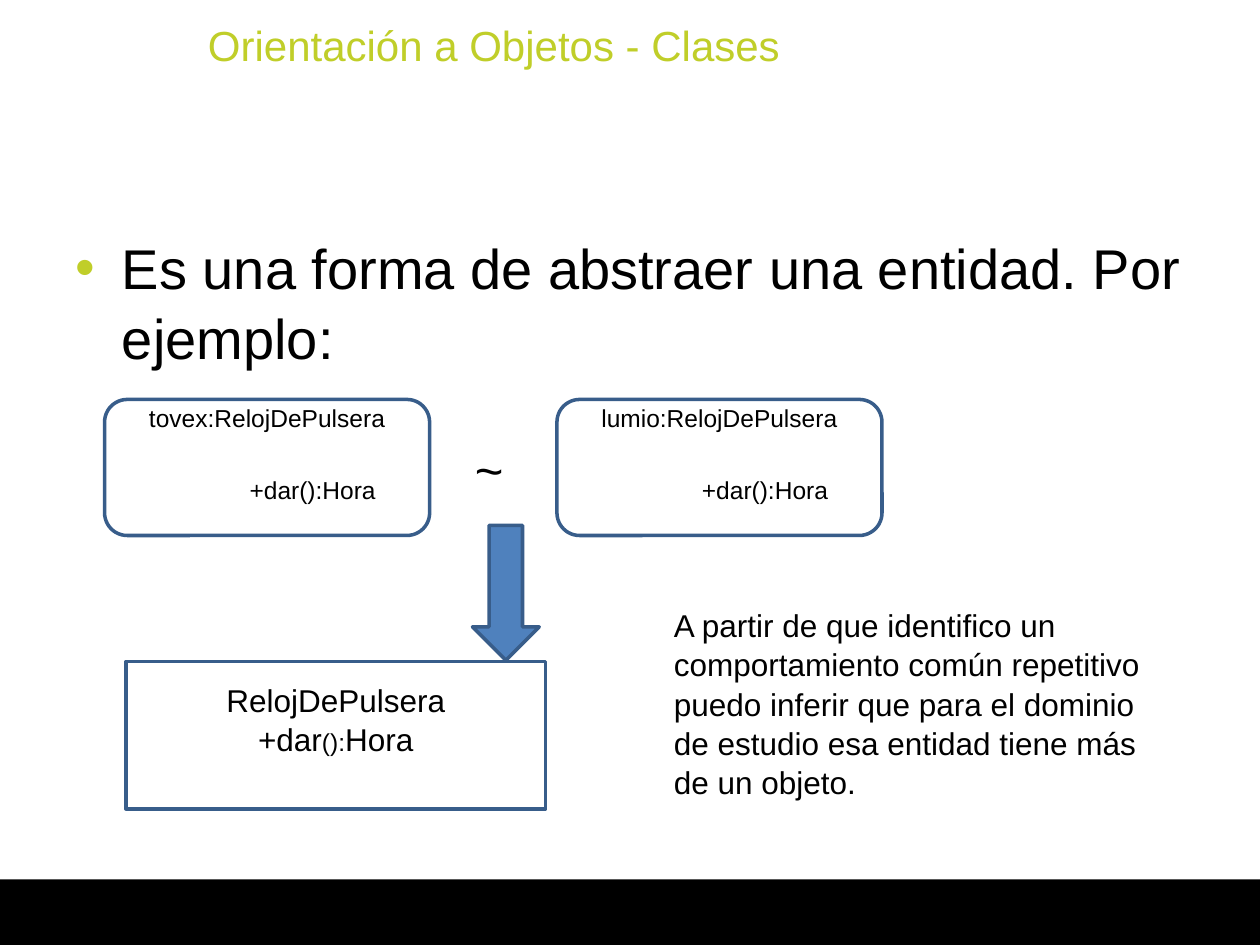
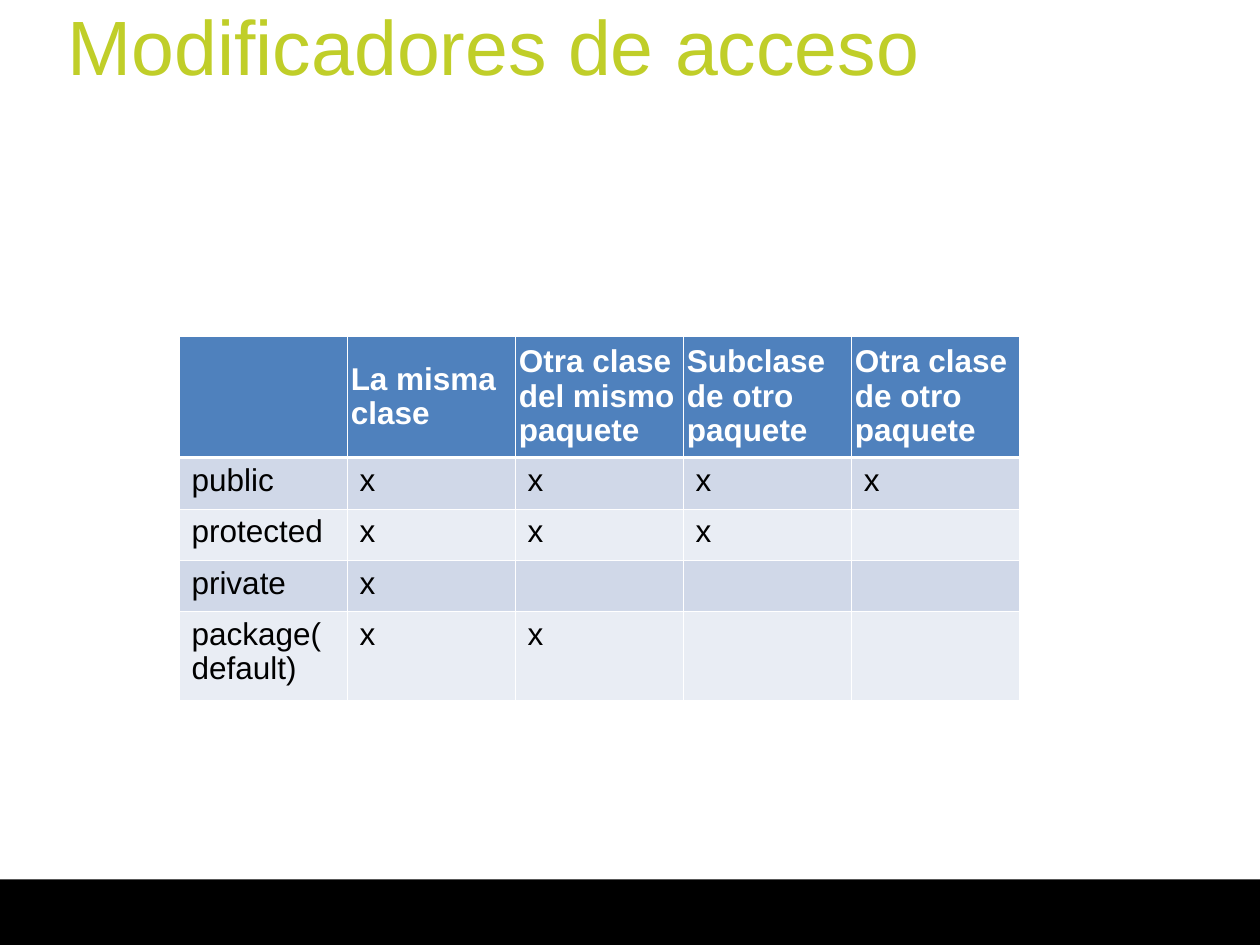
from dataclasses import dataclass

from pptx import Presentation
from pptx.dml.color import RGBColor
from pptx.enum.shapes import MSO_SHAPE as Shape
from pptx.enum.text import MSO_ANCHOR as Anchor, MSO_AUTO_SIZE as AutoSize, PP_ALIGN as Align
from pptx.oxml.ns import qn
from pptx.util import Inches, Pt
from lxml.etree import SubElement


@dataclass(frozen=True)
class Theme:
    font: str = "Arial"
    accent: str = "C0CE29"
    ink: str = "000000"
    paper: str = "FFFFFF"
    blue: str = "4F81BD"
    outline: str = "385D8A"
    bands: tuple = ("D0D8E8", "E9EDF4")
    small: int = 14
    normal: int = 18
    heading: int = 24
    symbol: int = 28
    lead: int = 32
    display: int = 44
    spacing: float = 1.04
    table_spacing: float = 0.97


THEME = Theme()
WIDTH, HEIGHT = 10, 7.5
UNIT = 1 / 12  # the slide is a grid of 120 columns by 90 rows


@dataclass(frozen=True)
class Box:
    """A region measured in grid columns and rows."""
    left: float
    top: float
    width: float
    height: float

    def inner(self, left, top, width, height):
        return Box(self.left + left, self.top + top, width, height)

    def lengths(self):
        return [Inches(round(value * UNIT, 2))
                for value in (self.left, self.top, self.width, self.height)]


def color(value):
    return RGBColor.from_string(value)


def write_text(frame, *paragraphs, size=THEME.normal, ink=THEME.ink, bold=False,
               align=Align.LEFT, anchor=Anchor.TOP, insets=(0.1, 0.05, 0.1, 0.05),
               spacing=THEME.spacing, bullet=None):
    """Fill a frame; a paragraph is a string or a list of (text, size) runs."""
    frame.word_wrap = True
    frame.auto_size = AutoSize.NONE
    frame.vertical_anchor = anchor
    (frame.margin_left, frame.margin_top,
     frame.margin_right, frame.margin_bottom) = map(Inches, insets)
    for index, content in enumerate(paragraphs):
        paragraph = frame.add_paragraph() if index else frame.paragraphs[0]
        paragraph.alignment = align
        paragraph.line_spacing = spacing
        if bullet:
            add_bullet(paragraph, bullet)
        for text, run_size in [(content, size)] if isinstance(content, str) else content:
            run = paragraph.add_run()
            run.text = text
            run.font.name = THEME.font
            run.font.size = Pt(run_size)
            run.font.bold = bold
            run.font.color.rgb = color(ink)
    return frame


def add_bullet(paragraph, character, indent=0.37):
    properties = paragraph._p.get_or_add_pPr()
    properties.set("marL", str(Inches(indent)))
    properties.set("indent", str(-Inches(indent)))
    bullet_color = SubElement(properties, qn("a:buClr"))
    SubElement(bullet_color, qn("a:srgbClr"), val=THEME.accent)
    SubElement(properties, qn("a:buFont"), typeface=THEME.font)
    SubElement(properties, qn("a:buChar"), char=character)


def add_text(slide, box, *paragraphs, **text_format):
    shape = slide.shapes.add_textbox(*box.lengths())
    write_text(shape.text_frame, *paragraphs, **text_format)


def add_shape(slide, kind, box, fill=THEME.paper, line=THEME.outline):
    shape = slide.shapes.add_shape(kind, *box.lengths())
    shape.shadow.inherit = False
    shape.fill.solid()
    shape.fill.fore_color.rgb = color(fill)
    if line:
        shape.line.color.rgb = color(line)
        shape.line.width = Pt(2)
    else:
        shape.line.fill.background()
    return shape


# Shared frame: bottom band and title
def add_slide(presentation, title, title_size):
    slide = presentation.slides.add_slide(presentation.slide_layouts[5])
    add_shape(slide, Shape.RECTANGLE, Box(0, 83.75, 120, 6.25), fill=THEME.ink, line=None)
    placeholder = slide.shapes.title
    (placeholder.left, placeholder.top,
     placeholder.width, placeholder.height) = Box(-4, -1.4, 102, 11.4).lengths()
    write_text(placeholder.text_frame, title, size=title_size, ink=THEME.accent,
               align=Align.CENTER, anchor=Anchor.MIDDLE, spacing=1.0)
    return slide


# Class diagram
def add_object(slide, box, name, method):
    shape = add_shape(slide, Shape.ROUNDED_RECTANGLE, box)
    frame = write_text(shape.text_frame, name, method, size=THEME.small,
                       align=Align.CENTER, anchor=Anchor.MIDDLE, insets=(0.1, 0, 0.1, 0.23))
    method_line = frame.paragraphs[1]
    method_line.alignment = Align.LEFT
    method_line.space_before = Pt(24)
    method_line._p.get_or_add_pPr().set("marL", str(Inches(1)))


def add_class(slide, box, name, method_runs):
    shape = add_shape(slide, Shape.RECTANGLE, box)
    write_text(shape.text_frame, name, method_runs, align=Align.CENTER,
               insets=(0.1, 0.14, 0.1, 0.05))


def add_diagram(slide, box):
    for index, name in enumerate(("tovex", "lumio")):
        add_object(slide, box.inner(43 * index, 0, 31, 13),
                   f"{name}:RelojDePulsera", "+dar():Hora")
    add_class(slide, box.inner(2, 25, 40, 14), "RelojDePulsera",
              [("+dar", THEME.normal), ("():", THEME.small), ("Hora", THEME.normal)])
    add_text(slide, box.inner(34, 3, 7, 6.8), "~", size=THEME.symbol)
    add_shape(slide, Shape.DOWN_ARROW, box.inner(35, 12, 6.4, 12.8), fill=THEME.blue)
    add_text(slide, box.inner(53, 19, 48, 19.2),
             "A partir de que identifico un comportamiento común repetitivo puedo "
             "inferir que para el dominio de estudio esa entidad tiene más de un objeto.")


def build_classes_slide(presentation):
    slide = add_slide(presentation, "Orientación a Objetos - Clases", THEME.heading)
    add_text(slide, Box(6, 21, 108, 16), "Es una forma de abstraer una entidad. Por ejemplo:",
             size=THEME.lead, bullet="•", insets=(0.1, 0.08, 0.1, 0.05))
    add_diagram(slide, Box(10, 38, 101, 39))


# Access table
HEADERS = ("", "La misma clase", "Otra clase del mismo paquete",
           "Subclase de otro paquete", "Otra clase de otro paquete")
ACCESS = {"public": 4, "protected": 3, "private": 1, "package(default)": 2}
ROW_HEIGHTS = (0.96, 0.41, 0.41, 0.4, 0.7)


def add_borders(cell, **widths):
    properties = cell._tc.get_or_add_tcPr()
    for side in "LRTB":
        line = SubElement(properties, qn(f"a:ln{side}"), w=str(Pt(widths.get(side, 0.45))))
        fill = SubElement(line, qn("a:solidFill"))
        SubElement(fill, qn("a:srgbClr"), val=THEME.paper)


def format_cell(cell, row, text):
    header = row == 0
    add_borders(cell, **{0: {"B": 1.47}, 1: {"T": 1.47}}.get(row, {}))
    cell.fill.solid()
    cell.fill.fore_color.rgb = color(THEME.blue if header else THEME.bands[(row - 1) % 2])
    cell.vertical_anchor = Anchor.MIDDLE if header else Anchor.TOP
    cell.margin_left = cell.margin_right = Inches(0.03 if header else 0.1)
    if text:
        paragraph = cell.text_frame.paragraphs[0]
        paragraph.line_spacing = THEME.table_spacing
        run = paragraph.add_run()
        run.text = text
        run.font.name = THEME.font
        run.font.size = Pt(THEME.normal)
        run.font.bold = header
        run.font.color.rgb = color(THEME.paper if header else THEME.ink)


def add_access_table(slide, box):
    columns = len(HEADERS)
    rows = [HEADERS] + [(name, *("x" if level < count else "" for level in range(columns - 1)))
                        for name, count in ACCESS.items()]
    table = slide.shapes.add_table(len(rows), columns, *box.lengths()).table
    for row, (height, texts) in enumerate(zip(ROW_HEIGHTS, rows)):
        table.rows[row].height = Inches(height)
        for column, text in enumerate(texts):
            format_cell(table.cell(row, column), row, text)


def build_access_slide(presentation):
    slide = add_slide(presentation, "Modificadores de acceso", THEME.display)
    add_access_table(slide, Box(17, 32, 80, 34.5))


def main():
    presentation = Presentation()
    presentation.slide_width, presentation.slide_height = Inches(WIDTH), Inches(HEIGHT)
    build_classes_slide(presentation)
    build_access_slide(presentation)
    presentation.save("out.pptx")


if __name__ == "__main__":
    main()
